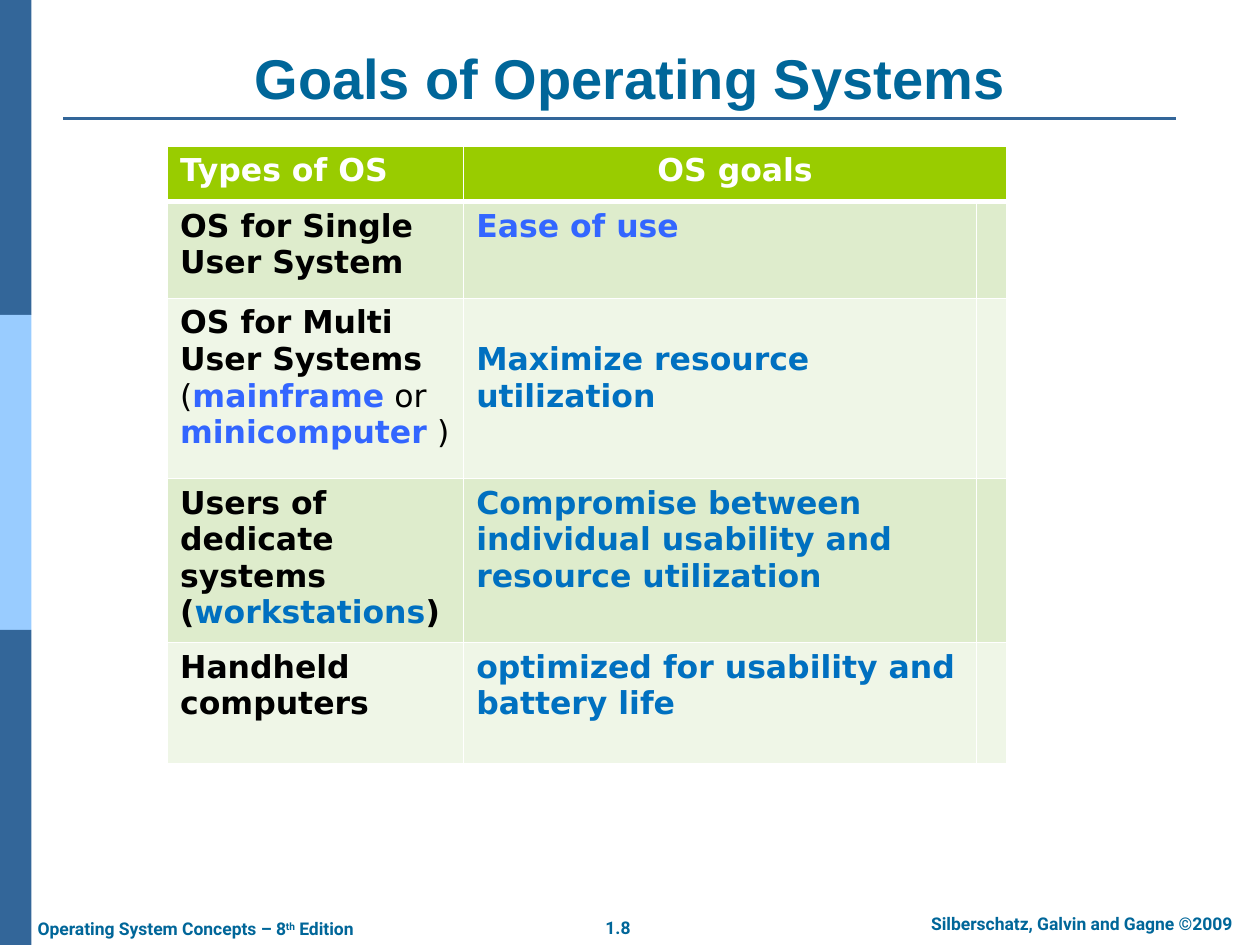
from lxml import etree
from pptx import Presentation, util as u
from pptx.dml.color import RGBColor
from pptx.enum import shapes, text
from pptx.oxml import ns

COLORS = {
    "bar": "336699", "bar_light": "99CCFF", "heading": "006699",
    "header": "99CC00", "band_dark": "DEECCC", "band_light": "EFF6E7",
    "white": "FFFFFF", "black": "000000", "violet": "3366FF", "blue": "0070C0",
}
WIDTH, HEIGHT = 10, 7.5
COLUMN_WIDTHS = [2.35, 4.07, 0.23]
ROW_HEIGHTS = [0.44, 0.77, 1.43, 1.26, 0.96]
LINE_HEIGHT = 0.29

# Each cell is a list of paragraphs; each paragraph a list of (text, color, bold).
ROWS = [
    ([[("Types of OS", "white", True)]], [[("OS goals", "white", True)]]),
    ([[("OS for Single User System", "black", True)]],
     [[("Ease of use", "violet", True)]]),
    ([[("OS for Multi User Systems", "black", True)],
      [("(", "black", False), ("mainframe", "violet", True), (" or ", "black", False),
       ("minicomputer", "violet", True), (" )", "black", False)]],
     [[("Maximize resource utilization", "blue", True)]]),
    ([[("Users of dedicate systems", "black", True)],
      [("(", "black", True), ("workstations", "blue", True), (")", "black", True)]],
     [[("Compromise between individual usability and resource utilization", "blue", True)]]),
    ([[("Handheld computers", "black", True)]],
     [[("optimized for usability and battery life", "blue", True)]]),
]


def rgb(name):
    return RGBColor.from_string(COLORS[name])


def inches(*values):
    return [u.Inches(value) for value in values]


def add_run(paragraph, content, color, **format_values):
    run = paragraph.add_run()
    run.text = content
    run.font.color.rgb = rgb(color)
    for name, value in format_values.items():
        setattr(run.font, name, value)
    return run


def add_side_bar(slide):
    for index, color in enumerate(["bar", "bar_light", "bar"]):
        shape = slide.shapes.add_shape(
            shapes.MSO_SHAPE.RECTANGLE,
            *inches(0, index * HEIGHT / 3, WIDTH / 40, HEIGHT / 3))
        shape.shadow.inherit = False
        shape.fill.solid()
        shape.fill.fore_color.rgb = rgb(color)
        shape.line.fill.background()


def add_rule(slide):
    line = slide.shapes.add_connector(
        shapes.MSO_CONNECTOR.STRAIGHT, *inches(0.5, 0.94, 9.33, 0.94))
    line.line.color.rgb = rgb("bar")
    line.line.width = u.Pt(1.5)
    etree.SubElement(line._element.spPr, ns.qn("a:effectLst"))


def set_title(slide, content):
    title = slide.shapes.title
    title.left, title.top, title.width, title.height = inches(0.5, 0.3, 9, 0.63)
    frame = title.text_frame
    frame.vertical_anchor = text.MSO_ANCHOR.BOTTOM
    frame.auto_size = text.MSO_AUTO_SIZE.NONE
    paragraph = frame.paragraphs[0]
    paragraph.alignment = text.PP_ALIGN.CENTER
    add_run(paragraph, content, "heading", name="Arial", size=u.Pt(32), bold=True)


def add_footer(slide, box, parts, alignment, wrap=False):
    """Add a footer text; parts are (text, baseline shift in percent)."""
    frame = slide.shapes.add_textbox(*inches(*box)).text_frame
    frame.word_wrap = wrap
    paragraph = frame.paragraphs[0]
    paragraph.alignment = alignment
    for content, shift in parts:
        run = add_run(paragraph, content, "heading",
                      name="Roboto", size=u.Pt(10), bold=True)
        if shift:
            run._r.get_or_add_rPr().set("baseline", str(shift * 1000))


def style_cell(cell, color, line_widths):
    """Set borders, then fill: the schema wants them in this order."""
    properties = cell._tc.get_or_add_tcPr()
    for side, width in line_widths.items():
        border = etree.SubElement(properties, ns.qn(f"a:ln{side}"), w=str(u.Pt(width)))
        fill = etree.SubElement(border, ns.qn("a:solidFill"))
        etree.SubElement(fill, ns.qn("a:srgbClr"), val=COLORS["white"])
    cell.fill.solid()
    cell.fill.fore_color.rgb = rgb(color)


def fill_cell(cell, paragraphs):
    frame = cell.text_frame
    for index, runs in enumerate(paragraphs):
        paragraph = frame.add_paragraph() if index else frame.paragraphs[0]
        for content, color, bold in runs:
            add_run(paragraph, content, color,
                    name="DejaVu Sans", size=u.Pt(18), bold=bold)


def add_goals_table(slide):
    table = slide.shapes.add_table(
        len(ROWS), len(COLUMN_WIDTHS),
        *inches(1.33, 1.16, sum(COLUMN_WIDTHS), sum(ROW_HEIGHTS))).table
    for column, width in zip(table.columns, COLUMN_WIDTHS):
        column.width = u.Inches(width)
    for index, (row, height) in enumerate(zip(table.rows, ROW_HEIGHTS)):
        row.height = u.Inches(height)
        color = ("band_dark" if index % 2 else "band_light") if index else "header"
        widths = {"L": 1, "R": 1, "T": 3 if index == 1 else 1, "B": 1 if index else 3}
        for cell in row.cells:
            style_cell(cell, color, widths)
        for cell, paragraphs in zip(row.cells, ROWS[index]):
            fill_cell(cell, paragraphs)
    goals = table.cell(0, 1)
    goals.merge(table.cell(0, 2))
    goals.text_frame.paragraphs[0].alignment = text.PP_ALIGN.CENTER
    table.cell(2, 1).margin_top = u.Inches(0.05 + LINE_HEIGHT)


def main():
    presentation = Presentation()
    presentation.slide_width, presentation.slide_height = inches(WIDTH, HEIGHT)
    slide = presentation.slides.add_slide(presentation.slide_layouts[5])
    add_side_bar(slide)
    add_rule(slide)
    center, left = text.PP_ALIGN.CENTER, text.PP_ALIGN.LEFT
    add_footer(slide, (4.66, 7.23, 0.49, 0.27), [("1.8", 0)], center)
    add_footer(slide, (7.1, 7.2, 2.97, 0.27),
               [("Silberschatz, Galvin and Gagne ©2009", 0)], center, wrap=True)
    add_footer(slide, (0.2, 7.24, 2.89, 0.27),
               [("Operating System Concepts – 8", 0), ("th", 30), (" Edition", 0)], left)
    set_title(slide, "Goals of Operating Systems")
    add_goals_table(slide)
    presentation.save("out.pptx")


if __name__ == "__main__":
    main()
